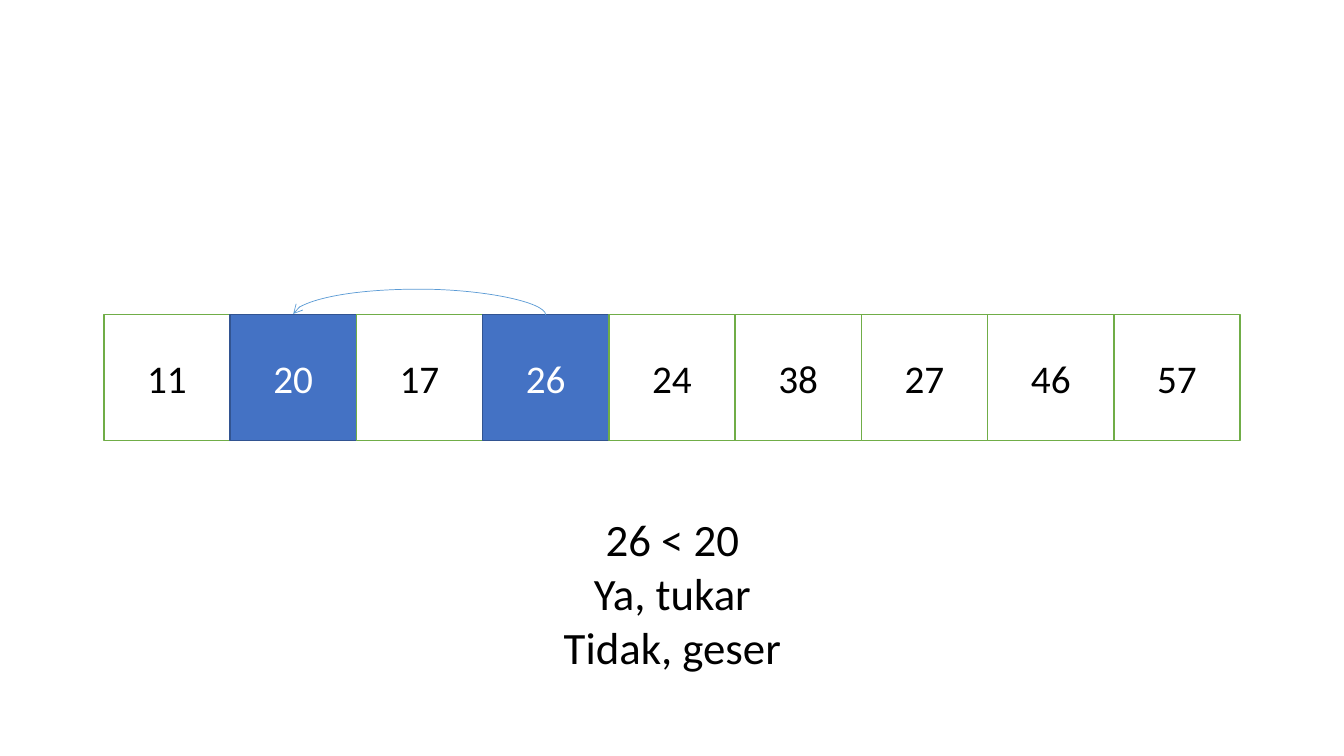
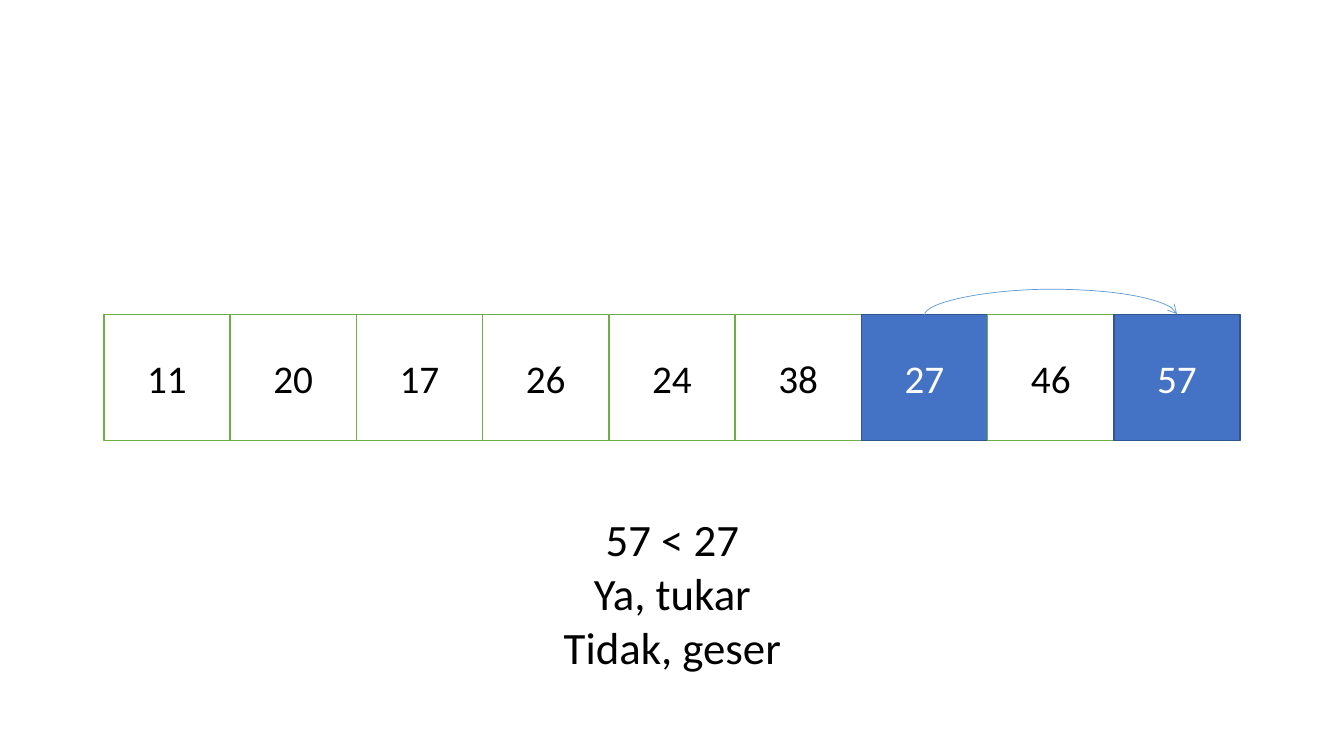
from lxml import etree
from pptx import Presentation
from pptx.dml.color import RGBColor
from pptx.enum.shapes import MSO_CONNECTOR, MSO_SHAPE
from pptx.enum.text import MSO_ANCHOR, MSO_AUTO_SIZE, PP_ALIGN
from pptx.oxml.ns import qn
from pptx.util import Inches, Pt

RECTANGLE = MSO_SHAPE.RECTANGLE
CURVE = MSO_CONNECTOR.CURVE
CENTER = PP_ALIGN.CENTER
MIDDLE = MSO_ANCHOR.MIDDLE
GROW = MSO_AUTO_SIZE.SHAPE_TO_FIT_TEXT

COLORS = {
    "white": "FFFFFF",
    "black": "000000",
    "green": "70AD47",
    "blue": "4472C4",
    "dark blue": "325491",
    "light blue": "5B9BD5",
}
FONT = "Calibri"
# Cell looks: fill, outline, text
PLAIN = ("white", "green", "black")
COMPARED = ("blue", "dark blue", "white")

NUMBERS = [11, 20, 17, 26, 24, 38, 27, 46, 57]
ROW_LEFT, ROW_TOP, ROW_WIDTH = 1.03, 3.12, 11.27
CELL = ROW_WIDTH / len(NUMBERS)
ARC_HEIGHT, ARC_BASE = 0.26, 0.01
TOP_SITE = 0

# Positions the arrow runs from and to on each slide
STEPS = [(3, 1), (6, 8)]


def color(name):
    return RGBColor.from_string(COLORS[name])


def write_lines(frame, lines, size, color_name):
    """Fill a text frame with centred paragraphs."""
    formats = {"name": FONT, "size": Pt(size)}
    for index, line in enumerate(lines):
        para = frame.paragraphs[0] if index == 0 else frame.add_paragraph()
        para.alignment = CENTER
        span = para.add_run()
        span.text = line
        for key, value in formats.items():
            setattr(span.font, key, value)
        span.font.color.rgb = color(color_name)


def add_cell(page, index, look):
    fill, outline, text = look
    box = page.shapes.add_shape(
        RECTANGLE, Inches(ROW_LEFT + index * CELL), Inches(ROW_TOP),
        Inches(CELL), Inches(CELL))
    box.shadow.inherit = False
    box.fill.solid()
    box.fill.fore_color.rgb = color(fill)
    box.line.color.rgb = color(outline)
    box.line.width = Pt(1)
    box.text_frame.vertical_anchor = MIDDLE
    write_lines(box.text_frame, [str(NUMBERS[index])], 28, text)
    return box


def add_arc(page, cells, start, end):
    """Curved arrow above the row, from the top of one cell to another."""
    arc = page.shapes.add_connector(CURVE, 0, 0, 0, 0)
    arc.begin_connect(cells[start], TOP_SITE)
    arc.end_connect(cells[end], TOP_SITE)
    arc.line.color.rgb = color("light blue")
    arc.line.width = Pt(0.5)

    # The curve lies on its side, so its height is the span between cells
    span = abs(end - start) * CELL
    middle = ROW_LEFT + ((start + end) / 2 + 0.5) * CELL
    place = {
        "left": Inches(middle - ARC_BASE / 2),
        "top": Inches(ROW_TOP - span / 2),
        "width": Inches(ARC_BASE),
        "height": Inches(span),
        "rotation": 270,
    }
    frame = arc.element.spPr.find(qn("a:xfrm"))
    for flip in ("flipH", "flipV"):
        frame.attrib.pop(flip, None)
    if end < start:
        frame.set("flipV", "1")
    frame.set("rot", str(place.pop("rotation") * 60000))
    for key, value in place.items():
        setattr(arc, key, value)

    # Bulge, arrowhead and no shadow
    properties = arc.element.spPr
    guides = properties.find(qn("a:prstGeom")).get_or_add_avLst()
    bulge = round(ARC_HEIGHT / ARC_BASE * 100000)
    etree.SubElement(guides, qn("a:gd"), name="adj1", fmla=f"val {bulge}")
    etree.SubElement(properties.find(qn("a:ln")), qn("a:tailEnd"), type="arrow")
    etree.SubElement(properties, qn("a:effectLst"))


def add_question(page, lines):
    box = page.shapes.add_textbox(
        Inches(4.39), Inches(5.03), Inches(4.56), Inches(1.72))
    box.text_frame.word_wrap = True
    box.text_frame.auto_size = GROW
    write_lines(box.text_frame, lines, 32, "black")


def add_step(deck, start, end):
    page = deck.slides.add_slide(deck.slide_layouts[6])
    cells = [add_cell(page, index, COMPARED if index in (start, end) else PLAIN)
             for index in range(len(NUMBERS))]
    add_arc(page, cells, start, end)
    right, left = NUMBERS[max(start, end)], NUMBERS[min(start, end)]
    add_question(page, [f"{right} < {left}", "Ya, tukar", "Tidak, geser"])


def main():
    deck = Presentation()
    deck.slide_width, deck.slide_height = Inches(13.33), Inches(7.5)
    for start, end in STEPS:
        add_step(deck, start, end)
    deck.save("out.pptx")


if __name__ == "__main__":
    main()
